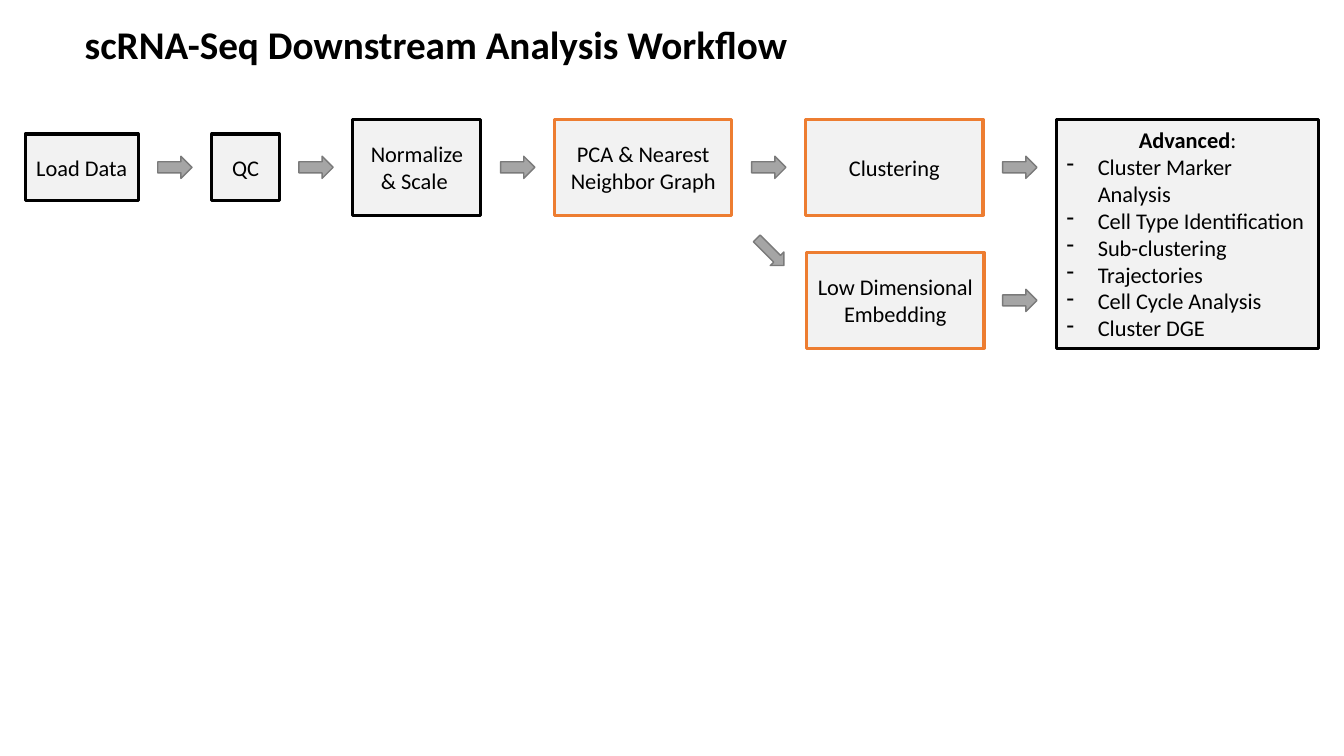
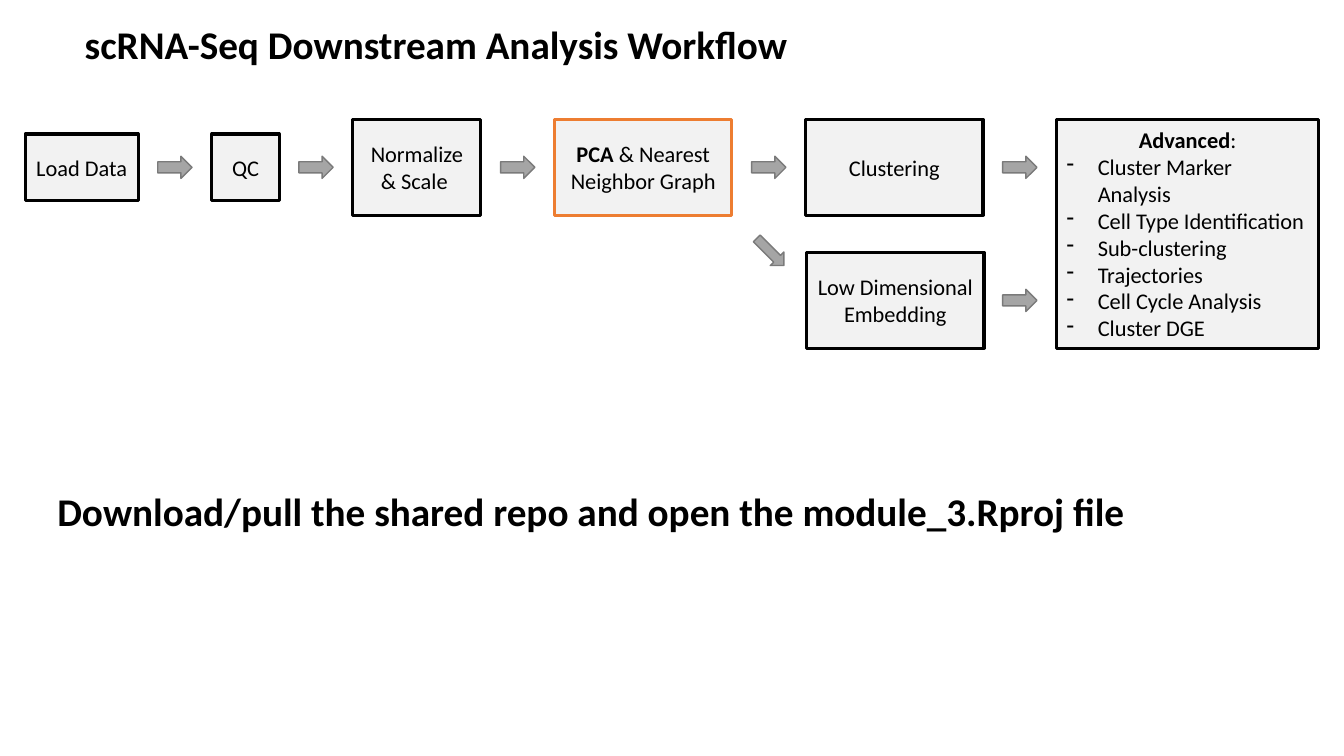
import pptx
import pptx.dml.color
import pptx.enum.shapes
import pptx.enum.text
import pptx.oxml.ns
import pptx.util
from lxml import etree

Inches = pptx.util.Inches
Pt = pptx.util.Pt
MSO_SHAPE = pptx.enum.shapes.MSO_SHAPE
PP_ALIGN = pptx.enum.text.PP_ALIGN
MSO_ANCHOR = pptx.enum.text.MSO_ANCHOR
MSO_AUTO_SIZE = pptx.enum.text.MSO_AUTO_SIZE

COLORS = {
    "ink": "000000",
    "box": "F2F2F2",
    "highlight": "ED7D31",
    "arrow": "A5A5A5",
    "arrow_edge": "7A7A7A",
}
TITLE = "scRNA-Seq Downstream Analysis Workflow"
TOPICS = ["Cluster Marker Analysis", "Cell Type Identification", "Sub-clustering",
          "Trajectories", "Cell Cycle Analysis", "Cluster DGE"]

# Workflow grid, in inches
LEFT = 0.25
GAP = 0.73
TOP_ROW, LOWER_ROW = 1.66, 2.98  # centre lines
SMALL, TALL = 0.66, 0.95  # box heights
ARROW_W, ARROW_H = 0.34, 0.22
STEPS = [  # label, width, height
    ("Load Data", 1.12, SMALL),
    ("QC", 0.67, SMALL),
    ("Normalize & Scale ", 1.27, TALL),
    ("PCA & Nearest Neighbor Graph", 1.76, TALL),
    ("Clustering", 1.76, TALL),
]
EMBEDDING = "Low Dimensional Embedding"


class Deck:
    """Holds the shared style and the slide being built."""

    font = "Calibri"
    heading_format = {"size": Pt(28), "bold": True}
    box_size = Pt(16)

    def __init__(self):
        self.prs = pptx.Presentation()
        self.prs.slide_width = Inches(13.33)
        self.prs.slide_height = Inches(7.5)
        self.slide = None

    def new_slide(self, title):
        self.slide = self.prs.slides.add_slide(self.prs.slide_layouts[5])
        self.heading(self.slide.shapes.title, title, 0.74, 0.15, 7.26)

    def color(self, name):
        return pptx.dml.color.RGBColor.from_string(COLORS[name])

    def add_text(self, paragraph, text, **formats):
        run = paragraph.add_run()
        run.text = text
        for name, value in {"name": self.font, **formats}.items():
            setattr(run.font, name, value)
        run.font.color.rgb = self.color("ink")

    def heading(self, holder, text, x, y, width):
        place = {"left": x, "top": y, "width": width, "height": 0.57}
        for name, value in place.items():
            setattr(holder, name, Inches(value))
        frame = holder.text_frame
        layout = {"word_wrap": False, "vertical_anchor": MSO_ANCHOR.TOP,
                  "auto_size": MSO_AUTO_SIZE.SHAPE_TO_FIT_TEXT}
        for name, value in layout.items():
            setattr(frame, name, value)
        frame.paragraphs[0].alignment = PP_ALIGN.LEFT
        self.add_text(frame.paragraphs[0], text, **self.heading_format)

    def message(self, text, x, y, width):
        holder = self.slide.shapes.add_textbox(0, 0, 0, 0)
        self.heading(holder, text, x, y, width)

    def shape(self, kind, x, center_y, width, height, fill, line, weight):
        shape = self.slide.shapes.add_shape(
            kind, Inches(x), Inches(center_y - height / 2), Inches(width), Inches(height))
        shape.shadow.inherit = False
        shape.fill.solid()
        shape.fill.fore_color.rgb = self.color(fill)
        shape.line.color.rgb = self.color(line)
        shape.line.width = Pt(weight)
        return shape

    def box(self, text, x, center_y, width, height, line="ink", bold=""):
        """Draw a box whose text opens with the given bold words."""
        shape = self.shape(MSO_SHAPE.RECTANGLE, x, center_y, width, height, "box", line, 2.25)
        frame = shape.text_frame
        frame.word_wrap = True
        frame.vertical_anchor = MSO_ANCHOR.MIDDLE
        label = frame.paragraphs[0]
        label.alignment = PP_ALIGN.CENTER
        if bold:
            self.add_text(label, bold, size=self.box_size, bold=True)
        self.add_text(label, text.removeprefix(bold), size=self.box_size)
        return frame

    def bullets(self, frame, items):
        for item in items:
            paragraph = frame.add_paragraph()
            paragraph.alignment = PP_ALIGN.LEFT
            props = paragraph._p.get_or_add_pPr()
            props.set("marL", str(Inches(0.31)))
            props.set("indent", str(-Inches(0.31)))
            etree.SubElement(props, pptx.oxml.ns.qn("a:buChar"), char="-")
            self.add_text(paragraph, item, size=self.box_size)

    def arrow(self, x, center_y, width=ARROW_W, height=ARROW_H, rotation=0):
        shape = self.shape(MSO_SHAPE.RIGHT_ARROW, x, center_y, width, height,
                           "arrow", "arrow_edge", 1)
        shape.rotation = rotation

    def workflow(self, highlighted, bold=""):
        # Top row: each box is followed by an arrow centred in the gap
        x = LEFT
        for label, width, height in STEPS:
            line = "highlight" if label in highlighted else "ink"
            lead = bold if bold and label.startswith(bold) else ""
            self.box(label, x, TOP_ROW, width, height, line, lead)
            arrow_x = x + width + (GAP - ARROW_W) / 2
            self.arrow(arrow_x, TOP_ROW)
            x += width + GAP

        # Lower branch
        line = "highlight" if EMBEDDING in highlighted else "ink"
        self.box(EMBEDDING, 8, LOWER_ROW, 1.76, TALL, line)
        self.arrow(7.45, 2.5, 0.38, 0.19, rotation=45)
        self.arrow(arrow_x, LOWER_ROW)

        # Advanced analyses span both rows
        advanced = self.box("Advanced:", x, (TOP_ROW + LOWER_ROW) / 2, 2.6,
                            LOWER_ROW - TOP_ROW + TALL, bold="Advanced")
        self.bullets(advanced, TOPICS)


def main():
    deck = Deck()
    pca, clustering = STEPS[3][0], STEPS[4][0]

    # Overview of this module's steps
    deck.new_slide(TITLE)
    deck.workflow({pca, clustering, EMBEDDING})

    # First step: PCA
    deck.new_slide(TITLE)
    deck.workflow({pca}, bold="PCA")
    deck.message("Download/pull the shared repo and open the module_3.Rproj file",
                 0.47, 4.79, 10.95)

    deck.prs.save("out.pptx")


if __name__ == "__main__":
    main()
